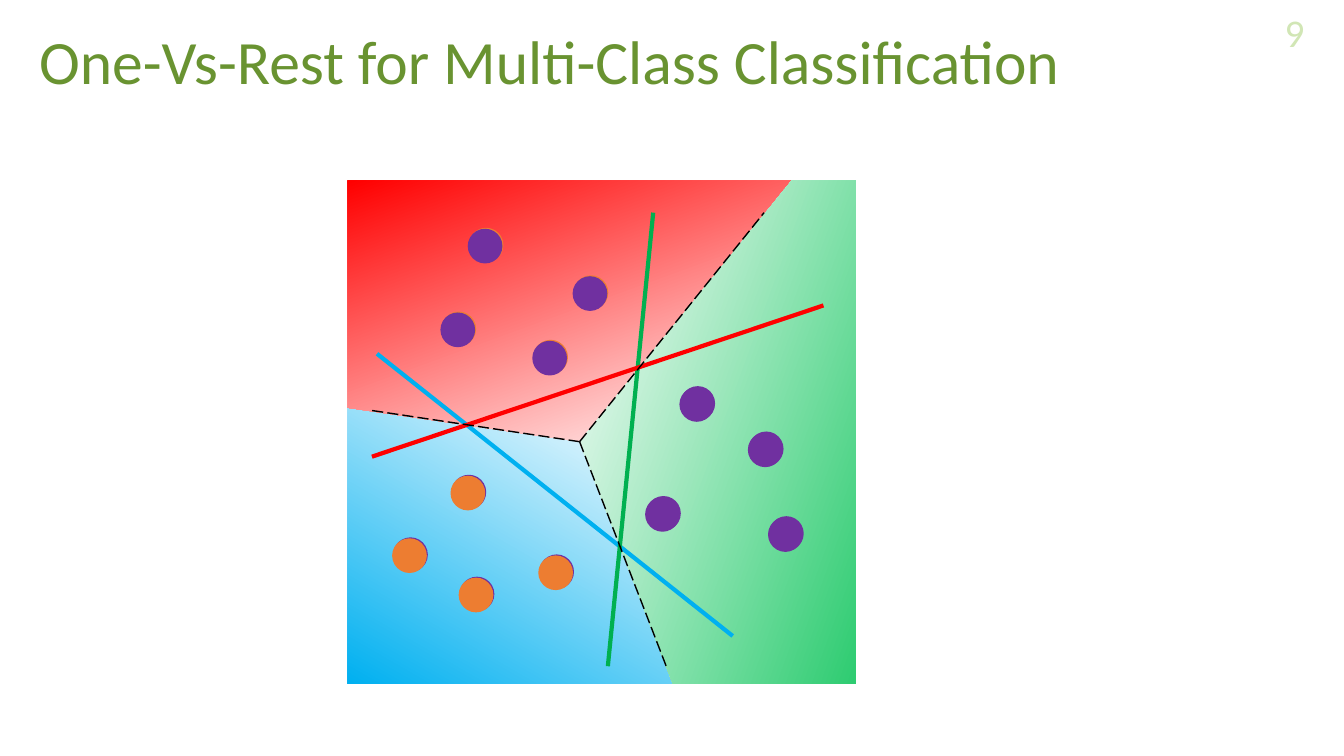
"""Build the slide on one-vs-rest decision regions for three classes."""
from lxml.etree import SubElement
from pptx import Presentation
from pptx.dml.color import RGBColor
from pptx.enum.dml import MSO_LINE
from pptx.enum.shapes import MSO_CONNECTOR, MSO_SHAPE
from pptx.enum.text import MSO_ANCHOR, PP_ALIGN
from pptx.oxml.ns import qn
from pptx.util import Pt

COLORS = {
    "title": "699331", "number": "D1E6B5", "white": "FFFFFF", "black": "000000",
    "red": "FF0000", "blue": "00B0F0", "green": "00B050", "mint": "2ECC71",
    "purple": "7030A0", "orange": "ED7D31",
}
LEFT, TOP, RIGHT, BOTTOM = 248.6, 129, 611.3, 488.3
CENTER = (414, 315.5)
LEFT_EDGE, TOP_EDGE, BOTTOM_EDGE = (LEFT, 291.3), (565.5, TOP), (480.6, BOTTOM)
REGIONS = [
    ("blue", 120, [CENTER, BOTTOM_EDGE, (LEFT, BOTTOM), LEFT_EDGE]),
    ("red", 250, [CENTER, TOP_EDGE, (LEFT, TOP), LEFT_EDGE]),
    ("mint", 20, [CENTER, TOP_EDGE, (RIGHT, TOP), (RIGHT, BOTTOM), BOTTOM_EDGE]),
]
DOT_SIZE = 24.8
BACK_SHIFT = 0.7
DOT_CLASSES = [
    ("orange", "purple", [(409, 197.3), (314.6, 223.2), (334.1, 163.4), (380.2, 243.4)]),
    ("purple", "purple", [(485.3, 276.5), (534.2, 308.9), (460.8, 355), (548.6, 369.4)]),
    ("purple", "orange", [(321.8, 339.8), (384.5, 396.7), (327.6, 412.6), (280.1, 384.5)]),
]
CLASSIFIERS = [
    ("blue", (269.3, 252.7), (523.4, 454.3)),
    ("green", (434.2, 475.9), (466.6, 151.9)),
    ("red", (588.2, 218.2), (265.7, 326.2)),
]
BOUNDARY_ENDS = [(545.8, 151.9), (475.9, 475.9), (264.2, 293)]


class SlideBuilder:
    """Hold the style and the current slide."""

    font = "Calibri"

    def __init__(self, slide):
        self.slide = slide
        self.shapes = slide.shapes

    def color(self, name):
        return RGBColor.from_string(COLORS[name])

    def text(self, content, box, size, color, align=PP_ALIGN.LEFT):
        frame = self.shapes.add_textbox(*map(Pt, box)).text_frame
        frame.word_wrap = True
        frame.vertical_anchor = MSO_ANCHOR.MIDDLE
        frame.text = content
        paragraph = frame.paragraphs[0]
        paragraph.alignment = align
        paragraph.line_spacing = 0.9
        font = paragraph.runs[0].font
        font.name, font.size = self.font, Pt(size)
        font.color.rgb = self.color(color)

    def region(self, color, clockwise_angle, points):
        start, *others = [(Pt(x), Pt(y)) for x, y in points]
        builder = self.shapes.build_freeform(*start)
        builder.add_line_segments(others, close=True)
        shape = builder.convert_to_shape()
        shape.shadow.inherit = False
        shape.line.fill.background()
        shape.fill.gradient()
        shape.fill.gradient_angle = 360 - clockwise_angle
        for stop, name in zip(shape.fill.gradient_stops, ("white", color)):
            stop.color.rgb = self.color(name)

    def dot(self, color, x, y):
        shape = self.shapes.add_shape(
            MSO_SHAPE.OVAL, Pt(x), Pt(y), Pt(DOT_SIZE), Pt(DOT_SIZE))
        shape.shadow.inherit = False
        shape.fill.solid()
        shape.fill.fore_color.rgb = self.color(color)
        shape.line.fill.background()

    def line(self, color, start, end, width, dash=None):
        connector = self.shapes.add_connector(
            MSO_CONNECTOR.STRAIGHT, *map(Pt, (*start, *end)))
        connector.line.color.rgb = self.color(color)
        connector.line.width = Pt(width)
        if dash:
            connector.line.dash_style = dash
        SubElement(connector._element.spPr, qn("a:effectLst"))


def main():
    presentation = Presentation()
    presentation.slide_width, presentation.slide_height = Pt(960), Pt(540)
    builder = SlideBuilder(presentation.slides.add_slide(presentation.slide_layouts[6]))

    builder.text("One-Vs-Rest for Multi-Class Classification",
                 (20.9, 13.7, 924.5, 64.8), 44, "title")
    builder.text("9", (891.4, 10.8, 47.5, 28.8), 28, "number", PP_ALIGN.RIGHT)

    for region in REGIONS:
        builder.region(*region)
    for back, front, places in DOT_CLASSES:
        for x, y in places:
            builder.dot(back, x + BACK_SHIFT, y - BACK_SHIFT)
            builder.dot(front, x, y)
    for color, start, end in CLASSIFIERS:
        builder.line(color, start, end, 3)
    for end in BOUNDARY_ENDS:
        builder.line("black", CENTER, end, 1, MSO_LINE.LONG_DASH)

    presentation.save("out.pptx")


if __name__ == "__main__":
    main()
